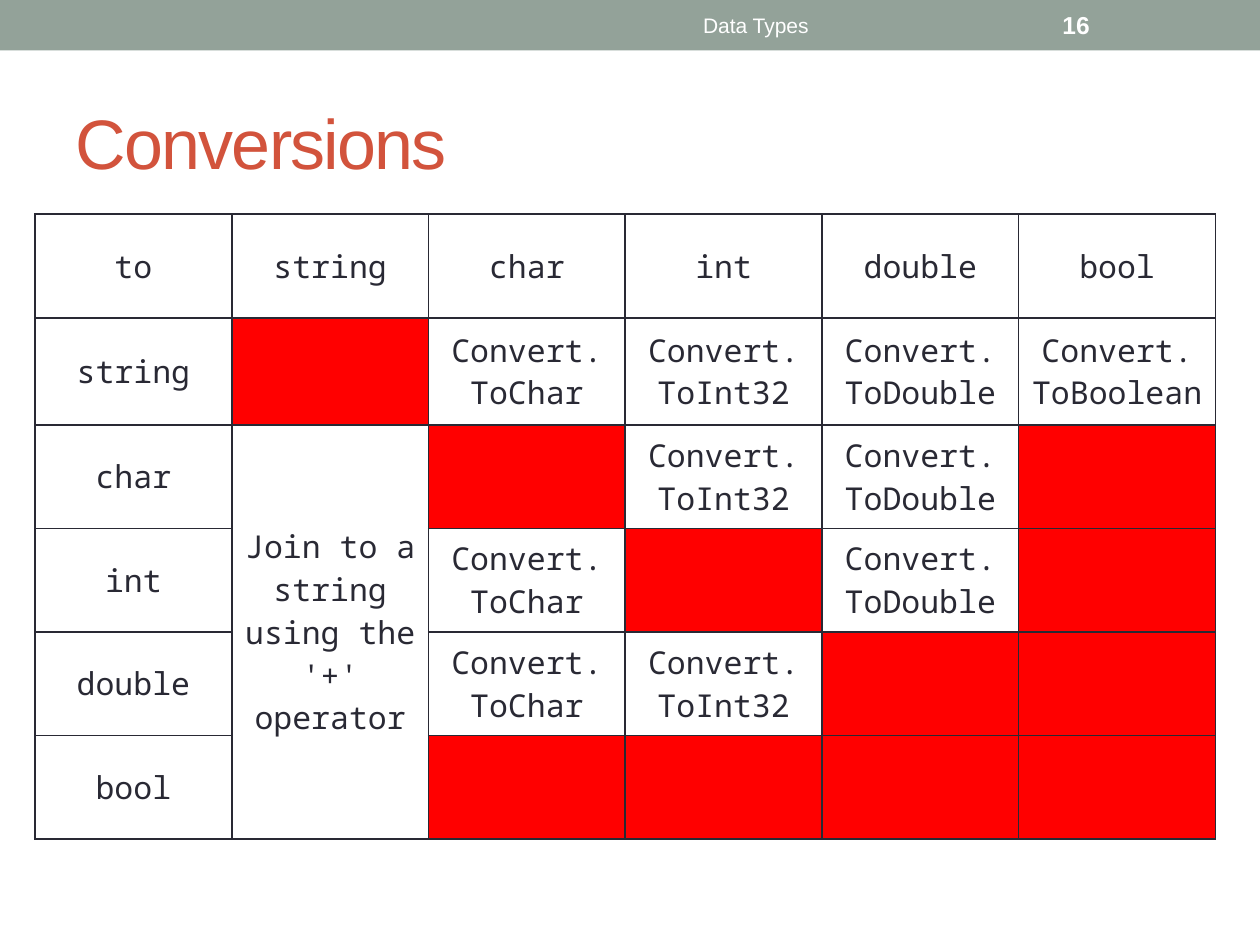
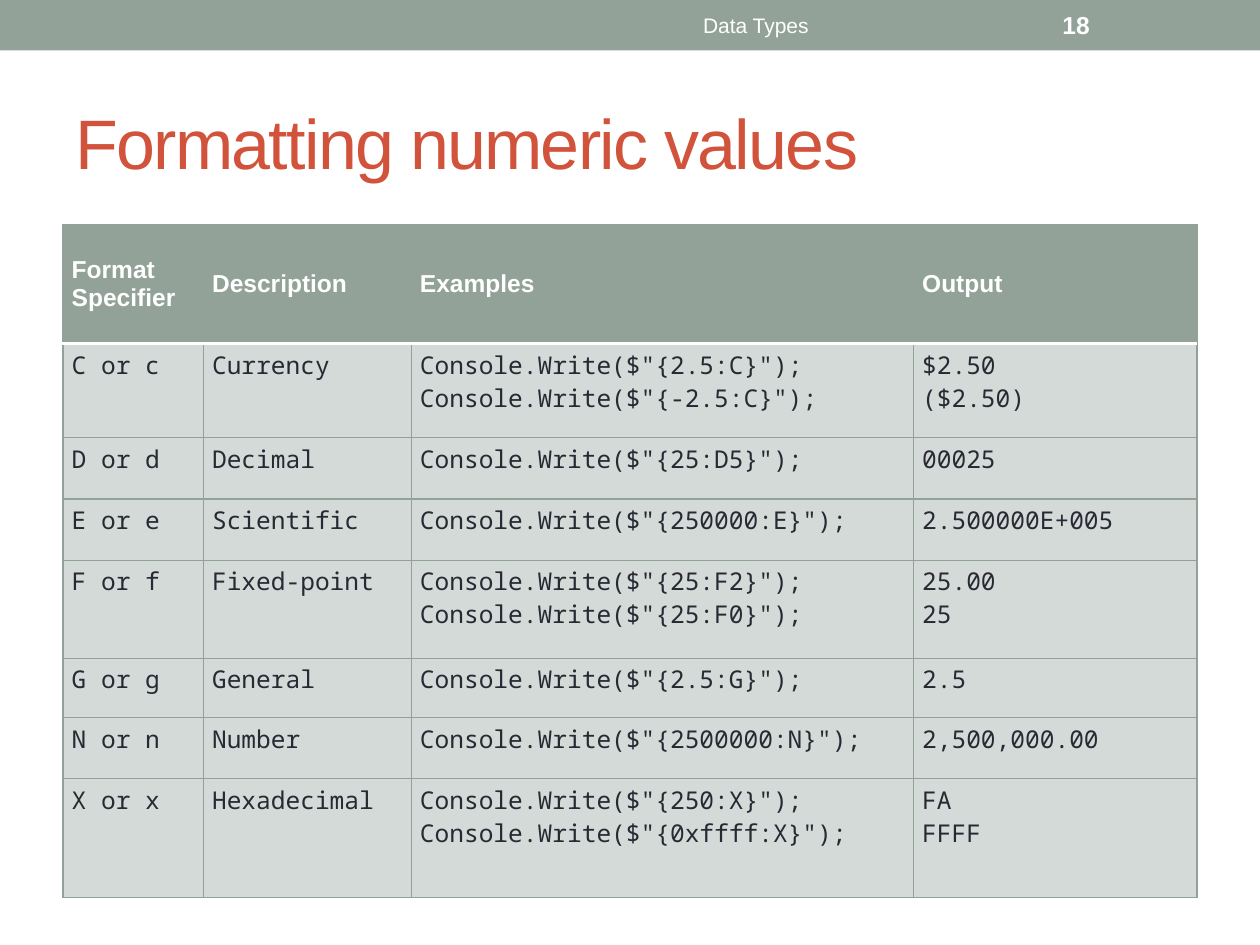
from copy import deepcopy
from dataclasses import dataclass

from lxml import etree
from pptx import Presentation
from pptx.dml.color import RGBColor
from pptx.enum.shapes import MSO_SHAPE
from pptx.enum.text import MSO_ANCHOR, MSO_AUTO_SIZE, PP_ALIGN
from pptx.oxml.ns import qn
from pptx.util import Pt

RECT = MSO_SHAPE.RECTANGLE
MIDDLE, TOP = MSO_ANCHOR.MIDDLE, MSO_ANCHOR.TOP
LEFT, CENTER = PP_ALIGN.LEFT, PP_ALIGN.CENTER
FIXED = MSO_AUTO_SIZE.NONE


@dataclass(frozen=True)
class Theme:
    sage: str = "93A299"
    pale: str = "D4DAD7"
    rust: str = "D2533C"
    ink: str = "292934"
    white: str = "FFFFFF"
    red: str = "FF0000"
    sans: str = "Arial"
    mono: str = "Noto Sans Mono"
    title: int = 40
    code: int = 18
    small: int = 14
    foot: int = 12


class Deck:
    """Builds styled slides one element at a time."""

    def __init__(self, theme):
        self.theme = theme
        self.show = Presentation()
        self.show.slide_width, self.show.slide_height = Pt(720), Pt(540)
        self.slide = None

    def page(self, title, number):
        t = self.theme
        self.slide = self.show.slides.add_slide(self.show.slide_layouts[5])
        self.band()
        self.head(title)
        self.label("Data Types", (270, 1.4, 324, 26), CENTER, t.foot)
        self.label(number, (600, 1.4, 84, 26), LEFT, t.small, True)

    def band(self):
        shape = self.slide.shapes.add_shape(RECT, 0, 0, Pt(720), Pt(28.8))
        shape.shadow.inherit = False
        shape.fill.solid()
        shape.fill.fore_color.rgb = RGBColor.from_string(self.theme.sage)
        shape.line.fill.background()

    def head(self, text):
        t = self.theme
        shape = self.slide.shapes.title
        place = {"left": 36, "top": 42, "width": 648, "height": 78}
        for name, value in place.items():
            setattr(shape, name, Pt(value))
        self.frame(shape.text_frame)
        para = shape.text_frame.paragraphs[0]
        self.words(para, text, LEFT, t.title, t.sans, t.rust)
        para.runs[0]._r.get_or_add_rPr().set("spc", "-100")

    def label(self, text, box, align, size, bold=False):
        t = self.theme
        shape = self.slide.shapes.add_textbox(*map(Pt, box))
        self.frame(shape.text_frame)
        para = shape.text_frame.paragraphs[0]
        self.words(para, text, align, size, t.sans, t.white, bold)

    def frame(self, frame):
        look = {"word_wrap": True, "auto_size": FIXED, "vertical_anchor": MIDDLE}
        for name, value in look.items():
            setattr(frame, name, value)

    def words(self, para, text, align, size, font, color, bold=False):
        para.text, para.alignment = text, align
        look = {"size": Pt(size), "name": font, "bold": bold}
        for run in para.runs:
            for name, value in look.items():
                setattr(run.font, name, value)
            run.font.color.rgb = RGBColor.from_string(color)
        for gap in para._p.findall(qn("a:br")):
            gap.append(deepcopy(para.runs[0]._r.rPr))

    def table(self, spot, cols, rows):
        shape = self.slide.shapes.add_table(
            len(rows), len(cols), *map(Pt, (*spot, sum(cols), sum(rows))))
        grid = shape.table
        grid.first_row = grid.horz_banding = False
        for col, width in zip(grid.columns, cols):
            col.width = Pt(width)
        for row, height in zip(grid.rows, rows):
            row.height = Pt(height)
        return grid

    def cell(self, cell, fill, edges, anchor, pad):
        for side, (color, width) in zip("LRTB", edges):
            line = etree.SubElement(cell._tc.get_or_add_tcPr(),
                                    qn("a:ln" + side), w=str(Pt(width)))
            solid = etree.SubElement(line, qn("a:solidFill"))
            etree.SubElement(solid, qn("a:srgbClr"), val=color)
        if fill:
            cell.fill.solid()
            cell.fill.fore_color.rgb = RGBColor.from_string(fill)
        else:
            cell.fill.background()
        across, down = map(Pt, pad)
        look = {"vertical_anchor": anchor, "margin_left": across,
                "margin_right": across, "margin_top": down, "margin_bottom": down}
        for name, value in look.items():
            setattr(cell, name, value)

    def matrix(self, data):
        t = self.theme
        grid = self.table((20, 122.4), [112.44] * 6, [59.2, 61.2] + [59.2] * 4)
        for r, row in enumerate(data):
            for c, text in enumerate(row):
                cell = grid.cell(r, c)
                fill = t.red if text is None else None
                self.cell(cell, fill, [(t.ink, 1)] * 4, MIDDLE, (7.2, 3.6))
                if text:
                    para = cell.text_frame.paragraphs[0]
                    self.words(para, text, CENTER, t.code, t.mono, t.ink)
        grid.cell(2, 1).merge(grid.cell(5, 1))

    def listing(self, data):
        t = self.theme
        grid = self.table((36, 128.2), [80.2, 118.8, 287, 162],
                          [68.2, 53.8, 35, 35, 56, 34, 35, 68])
        thin, thick = (t.sage, 0.75), (t.white, 2.08)
        for r, row in enumerate(data):
            top = r == 0
            edges = [thin, thin, thick if r == 1 else thin, thick if top else thin]
            fill, anchor = (t.sage, MIDDLE) if top else (t.pale, TOP)
            font, color = (t.sans, t.white) if top else (t.mono, t.ink)
            for c, text in enumerate(row):
                cell = grid.cell(r, c)
                self.cell(cell, fill, edges, anchor, (5, 2.4))
                para = cell.text_frame.paragraphs[0]
                self.words(para, text, LEFT, t.small, font, color, top)


def turn(kind):
    return "Convert.\nTo" + kind


def calls(*args):
    return "\n".join('Console.Write($"{' + arg + '}");' for arg in args)


CHAR, INT, DOUBLE = map(turn, ("Char", "Int32", "Double"))
CASTS = [
    ("to", "string", "char", "int", "double", "bool"),
    ("string", None, CHAR, INT, DOUBLE, turn("Boolean")),
    ("char", "Join to a string using the '+' operator", None, INT, DOUBLE, None),
    ("int", "", CHAR, None, DOUBLE, None),
    ("double", "", CHAR, INT, None, None),
    ("bool", "", None, None, None, None),
]
FORMATS = [
    ("Format Specifier", "Description", "Examples", "Output"),
    ("C or c", "Currency", calls("2.5:C", "-2.5:C"), "$2.50\n($2.50)"),
    ("D or d", "Decimal", calls("25:D5"), "00025"),
    ("E or e", "Scientific", calls("250000:E"), "2.500000E+005"),
    ("F or f", "Fixed-point", calls("25:F2", "25:F0"), "25.00\n25"),
    ("G or g", "General", calls("2.5:G"), "2.5"),
    ("N or n", "Number", calls("2500000:N"), "2,500,000.00"),
    ("X or x", "Hexadecimal", calls("250:X", "0xffff:X"), "FA\nFFFF"),
]

deck = Deck(Theme())
deck.page("Conversions", "16")
deck.matrix(CASTS)
deck.page("Formatting numeric values", "18")
deck.listing(FORMATS)
deck.show.save("out.pptx")
